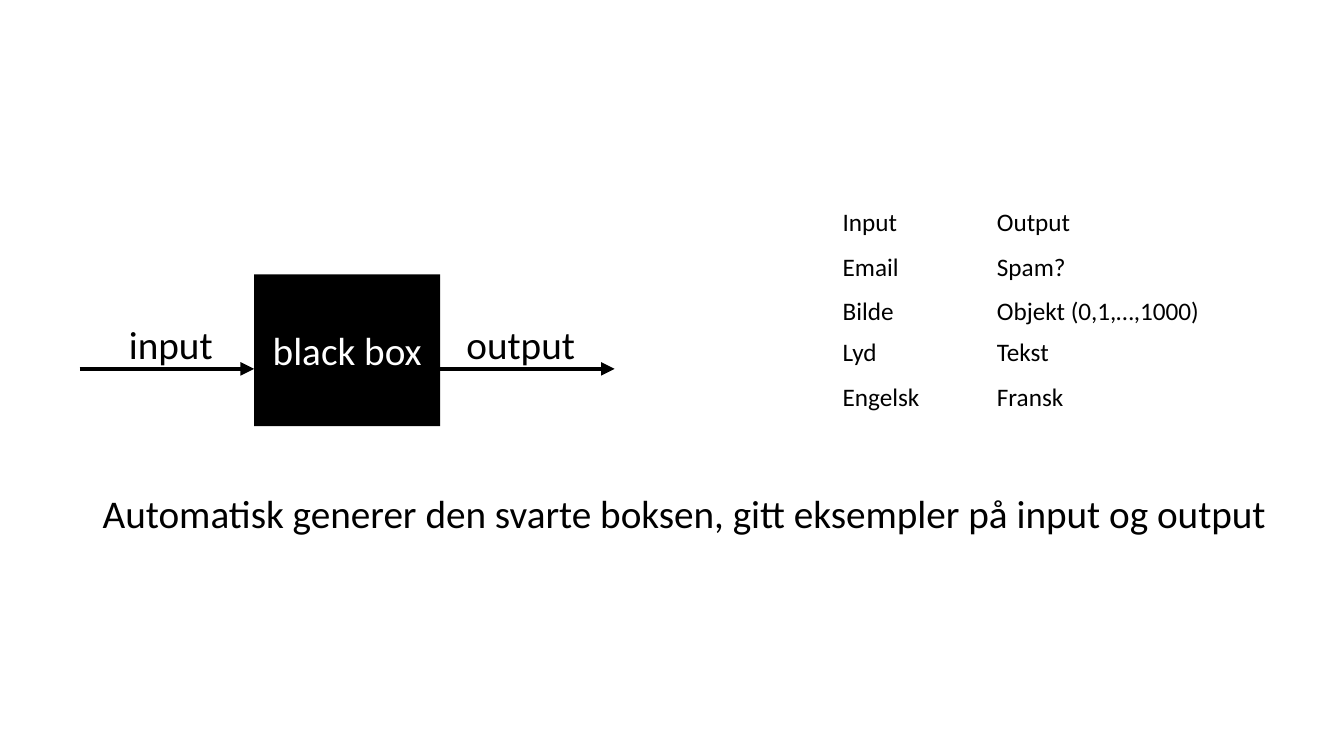
"""Build the black box slide: input and output arrows, an example table and a statement."""
from dataclasses import dataclass

from lxml.etree import SubElement
from pptx import Presentation
from pptx.dml.color import RGBColor
from pptx.enum.shapes import MSO_CONNECTOR, MSO_SHAPE
from pptx.enum.text import MSO_ANCHOR, PP_ALIGN
from pptx.oxml.ns import qn
from pptx.slide import Slide
from pptx.text.text import TextFrame
from pptx.util import Pt

BLACK = RGBColor(0x00, 0x00, 0x00)
WHITE = RGBColor(0xFF, 0xFF, 0xFF)
FONT = "Calibri"
LARGE, SMALL = 28, 18

BOX_LEFT, BOX_TOP, BOX_WIDTH, BOX_HEIGHT = 181.5, 196, 133, 108.5
BOX_RIGHT = BOX_LEFT + BOX_WIDTH
ARROW_LENGTH, ARROW_Y, ARROW_WEIGHT = 124.6, 263.5, 3.25
LABEL_HEIGHT = 34

TABLE_LEFT, TABLE_TOP = 594.7, 144.7
COLUMN_WIDTHS = (110.2, 188.6)
ROW_HEIGHTS = (31.9, 31.9, 29.2, 31.9, 29.2)
EXAMPLES = (
    ("Input", "Output"),
    ("Email", "Spam?"),
    ("Bilde", "Objekt (0,1,…,1000)"),
    ("Lyd", "Tekst"),
    ("Engelsk", "Fransk"),
)


@dataclass(frozen=True)
class Label:
    text: str
    left: float
    top: float
    width: float
    align: PP_ALIGN = PP_ALIGN.CENTER


LABELS = (
    Label("input", 72, 229, 100),
    Label("output", 322, 229, 100),
    Label("Automatisk generer den svarte boksen, gitt eksempler på input og output",
          73.4, 349.8, 856, PP_ALIGN.LEFT),
)


def write(frame: TextFrame, text: str, size: float, color: RGBColor, align: PP_ALIGN) -> None:
    frame.text = text
    para = frame.paragraphs[0]
    para.alignment = align
    for span in para.runs:
        span.font.name = FONT
        span.font.size = Pt(size)
        span.font.color.rgb = color


def add_label(page: Slide, label: Label) -> None:
    box = page.shapes.add_textbox(Pt(label.left), Pt(label.top), Pt(label.width), Pt(LABEL_HEIGHT))
    frame = box.text_frame
    frame.word_wrap = True
    frame.margin_left = frame.margin_right = frame.margin_top = frame.margin_bottom = 0
    write(frame, label.text, LARGE, BLACK, label.align)


def add_black_box(page: Slide) -> None:
    box = page.shapes.add_shape(
        MSO_SHAPE.RECTANGLE, Pt(BOX_LEFT), Pt(BOX_TOP), Pt(BOX_WIDTH), Pt(BOX_HEIGHT))
    box.shadow.inherit = False
    box.fill.solid()
    box.fill.fore_color.rgb = BLACK
    box.line.fill.background()
    box.text_frame.vertical_anchor = MSO_ANCHOR.MIDDLE
    write(box.text_frame, "black box", LARGE, WHITE, PP_ALIGN.CENTER)


def add_arrow(page: Slide, left: float) -> None:
    arrow = page.shapes.add_connector(
        MSO_CONNECTOR.STRAIGHT, Pt(left), Pt(ARROW_Y), Pt(left + ARROW_LENGTH), Pt(ARROW_Y))
    arrow.line.color.rgb = BLACK
    arrow.line.width = Pt(ARROW_WEIGHT)
    properties = arrow.line._get_or_add_ln()
    SubElement(properties, qn("a:tailEnd"), type="triangle")
    SubElement(properties.getparent(), qn("a:effectLst"))


def add_examples(page: Slide) -> None:
    table = page.shapes.add_table(
        len(EXAMPLES), len(COLUMN_WIDTHS), Pt(TABLE_LEFT), Pt(TABLE_TOP),
        Pt(sum(COLUMN_WIDTHS)), Pt(sum(ROW_HEIGHTS))).table
    table.first_row = table.horz_banding = False
    for column, width in zip(table.columns, COLUMN_WIDTHS):
        column.width = Pt(width)
    for row, height, texts in zip(table.rows, ROW_HEIGHTS, EXAMPLES):
        row.height = Pt(height)
        for cell, text in zip(row.cells, texts):
            cell.fill.background()
            write(cell.text_frame, text, SMALL, BLACK, PP_ALIGN.LEFT)


def main() -> None:
    deck = Presentation()
    deck.slide_width, deck.slide_height = Pt(960), Pt(540)
    page = deck.slides.add_slide(deck.slide_layouts[6])
    for label in LABELS:
        add_label(page, label)
    add_black_box(page)
    for left in (BOX_LEFT - ARROW_LENGTH, BOX_RIGHT):
        add_arrow(page, left)
    add_examples(page)
    deck.save("out.pptx")


if __name__ == "__main__":
    main()
